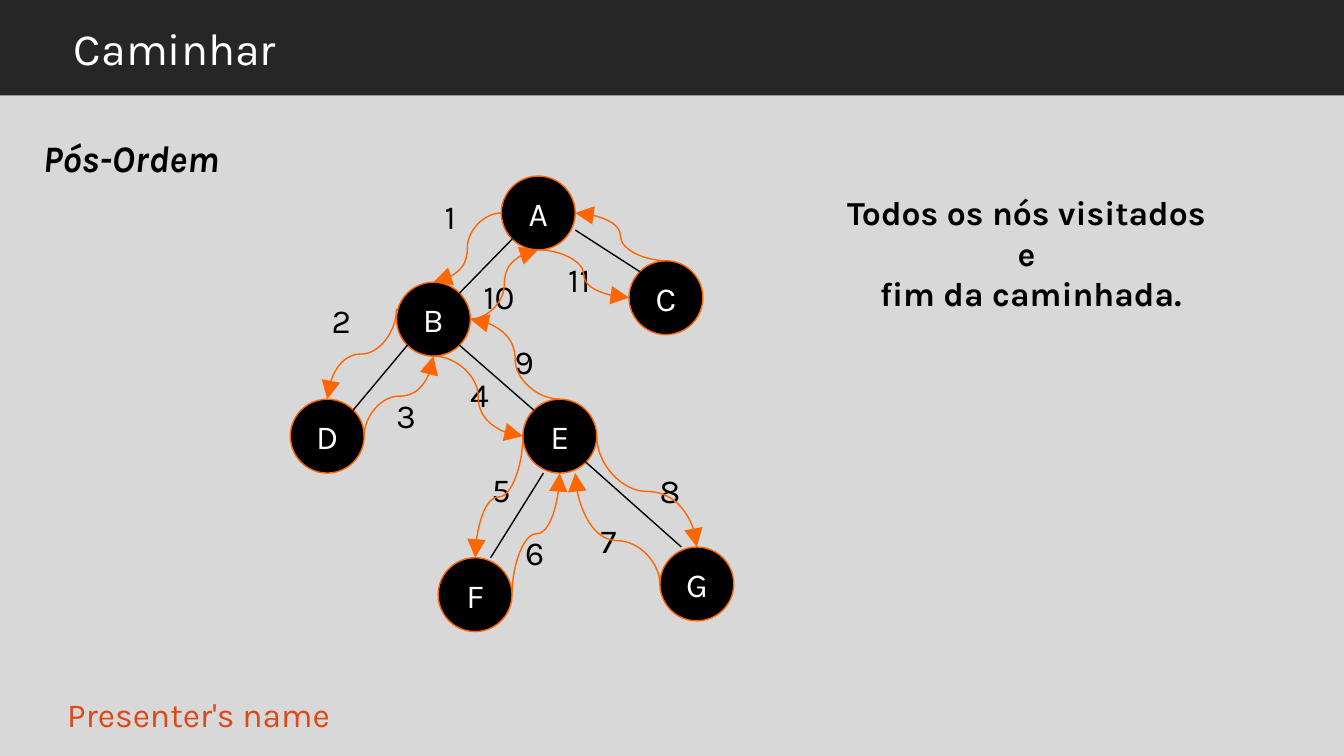
from dataclasses import dataclass

from lxml import etree
from pptx import Presentation
from pptx.dml.color import RGBColor
from pptx.enum import shapes, text
from pptx.oxml import ns
from pptx.util import Inches, Pt


@dataclass(frozen=True)
class Theme:
    """Colours, type sizes and line width of the slide."""
    background: str = "D8D8D8"
    band: str = "262626"
    ink: str = "000000"
    light: str = "FFFFFF"
    walk: str = "FF6600"
    footer: str = "DD4814"
    font: str = "Karla"
    title: int = 24
    subtitle: int = 20
    body: int = 18
    line: float = 0.75


THEME = Theme()
LEFT, CENTER = text.PP_ALIGN.LEFT, text.PP_ALIGN.CENTER
TOP, MIDDLE = text.MSO_ANCHOR.TOP, text.MSO_ANCHOR.MIDDLE
WIDTH = Inches(10)
HEIGHT = WIDTH * 9 // 16
DIAMETER = 0.55
LABEL_HEIGHT = 0.38

NODES = {"A": (1.57, 0), "B": (0.79, 0.79), "D": (0, 1.66), "C": (2.52, 0.63),
         "E": (1.73, 1.66), "F": (1.1, 2.84), "G": (2.75, 2.76)}
SITES = {"n": (0.5, 0), "e": (1, 0.5), "s": (0.5, 1), "w": (0, 0.5),
         "nw": (0.15, 0.15), "ne": (0.85, 0.15), "se": (0.85, 0.85), "sw": (0.15, 0.85),
         "top left": (0.29, 0), "top right": (0.71, 0), "bottom left": (0.28, 1),
         "bottom right": (0.71, 1), "upper left": (0, 0.36), "lower right": (1, 0.73)}
EDGES = [("A", "sw", "B", "ne"), ("B", "sw", "D", "ne"), ("A", "lower right", "C", "nw"),
         ("B", "se", "E", "nw"), ("E", "bottom left", "F", "top right"),
         ("E", "se", "G", "top left")]
STEPS = [("A", "w", "B", "n", False, 0.5), ("B", "upper left", "D", "n", True, 0.5),
         ("D", "e", "B", "s", True, 0.5), ("B", "s", "E", "w", False, 0.5),
         ("E", "w", "F", "n", True, 0.5), ("F", "e", "E", "s", True, 0.5),
         ("G", "w", "E", "bottom right", True, 0.39), ("E", "e", "G", "n", True, 0.5),
         ("E", "n", "B", "e", False, 0.5), ("B", "e", "A", "s", False, 0.5),
         ("A", "s", "C", "w", False, 0.5), ("C", "n", "A", "e", False, 0.5)]
LABELS = [(1.05, 0.1, 0.41), (0.21, 0.87, 0.34), (0.69, 1.58, 0.34), (1.24, 1.42, 0.34),
          (1.4, 2.13, 0.34), (1.65, 2.6, 0.34), (2.21, 2.51, 0.34), (2.65, 2.14, 0.34),
          (1.57, 1.18, 0.34), (1.34, 0.69, 0.59), (1.97, 0.57, 0.73)]


def set_all(target, values):
    """Set every attribute in values on target."""
    for name, value in values.items():
        setattr(target, name, value)


def write(shape, lines, color, size=THEME.body, align=LEFT, anchor=TOP,
          insets=(0.1, 0.05), **font):
    """Write one paragraph per line into the shape."""
    across, down = map(Inches, insets)
    frame = shape.text_frame
    frame.text = "\n".join(lines)
    set_all(frame, {"word_wrap": True, "auto_size": text.MSO_AUTO_SIZE.NONE,
                    "vertical_anchor": anchor, "margin_left": across,
                    "margin_right": across, "margin_top": down, "margin_bottom": down})
    for paragraph in frame.paragraphs:
        paragraph.alignment = align
        set_all(paragraph.font, {"name": THEME.font, "size": Pt(size), **font})
        paragraph.font.color.rgb = RGBColor.from_string(color)


def add_text(slide, box, lines, color, **format_values):
    """Add a text box that fills the given box."""
    shape = slide.shapes.add_textbox(*map(Inches, box))
    write(shape, lines, color, **format_values)


def add_filled(slide, kind, box, fill, line=None):
    """Add a flat preset shape, outlined if a line colour is given."""
    shape = slide.shapes.add_shape(kind, *map(Inches, box))
    shape.shadow.inherit = False
    shape.fill.solid()
    shape.fill.fore_color.rgb = RGBColor.from_string(fill)
    if line:
        shape.line.color.rgb = RGBColor.from_string(line)
        shape.line.width = Pt(THEME.line)
    else:
        shape.line.fill.background()
    return shape


def add_line(slide, kind, start, end, color):
    """Add a thin connector without a shadow."""
    connector = slide.shapes.add_connector(kind, *map(Inches, (*start, *end)))
    connector.line.color.rgb = RGBColor.from_string(color)
    connector.line.width = Pt(THEME.line)
    etree.SubElement(connector._element.spPr, ns.qn("a:effectLst"))
    return connector


def add_step(slide, start, end, vertical, bend):
    """Add a curved arrow, turned a quarter when it leaves vertically."""
    rotation = 0
    if vertical:
        x_middle, y_middle = ((a + b) / 2 for a, b in zip(start, end))
        dx, dy = end[0] - start[0], end[1] - start[1]
        rotation = 90 if dx < 0 else 270
        along = abs(dy) / 2 * (1 if (dx < 0) == (dy < 0) else -1)
        across = abs(dx) / 2
        start = (x_middle + along, y_middle - across)
        end = (x_middle - along, y_middle + across)
    connector = add_line(slide, shapes.MSO_CONNECTOR.CURVE, start, end, THEME.walk)
    properties = connector._element.spPr
    if rotation:
        properties.find(ns.qn("a:xfrm")).set("rot", str(rotation * 60000))
    adjustments = properties.find(ns.qn("a:prstGeom")).get_or_add_avLst()
    etree.SubElement(adjustments, ns.qn("a:gd"), name="adj1", fmla=f"val {round(bend * 100000)}")
    etree.SubElement(properties.find(ns.qn("a:ln")), ns.qn("a:tailEnd"),
                     type="triangle", w="lg", len="lg")


def add_header(slide, box, title):
    """Place the dark band and the slide title on it."""
    left, top, width, height = box
    band = add_filled(slide, shapes.MSO_SHAPE.RECTANGLE, box, THEME.band)
    slide.shapes._spTree.insert(2, band._element)
    placeholder = slide.shapes.title
    set_all(placeholder, {"left": Inches(left + 0.45), "top": Inches(top),
                          "width": Inches(width - 0.95), "height": Inches(height)})
    write(placeholder, [title], THEME.light, size=THEME.title, anchor=MIDDLE,
          insets=(0.1, 0.1))


def add_tree(slide, box):
    """Draw the binary tree and its numbered post-order walk."""
    left, top = box[:2]

    def site(node, name):
        """Return the point of a node at the named site."""
        return tuple(origin + offset + DIAMETER * part for origin, offset, part
                     in zip((left, top), NODES[node], SITES[name]))

    for name, (x, y) in NODES.items():
        node = add_filled(slide, shapes.MSO_SHAPE.OVAL,
                          (left + x, top + y, DIAMETER, DIAMETER), THEME.ink, THEME.walk)
        write(node, [name], THEME.light, align=CENTER, anchor=MIDDLE)
    for parent, out, child, into in EDGES:
        add_line(slide, shapes.MSO_CONNECTOR.STRAIGHT, site(parent, out),
                 site(child, into), THEME.ink)
    for number, (x, y, width) in enumerate(LABELS, 1):
        add_text(slide, (left + x, top + y, width, LABEL_HEIGHT), [str(number)], THEME.ink)
    for origin, out, target, into, vertical, bend in STEPS:
        add_step(slide, site(origin, out), site(target, into), vertical, bend)


def main():
    """Build and save the presentation."""
    presentation = Presentation()
    set_all(presentation, {"slide_width": WIDTH, "slide_height": HEIGHT})
    slide = presentation.slides.add_slide(presentation.slide_layouts[5])
    slide.background.fill.solid()
    slide.background.fill.fore_color.rgb = RGBColor.from_string(THEME.background)
    add_header(slide, (0, 0, 10, 0.71), "Caminhar")
    add_text(slide, (0.43, 5.06, 5.78, 0.37), ["Presenter's name"], THEME.footer,
             insets=(0.07, 0.1))
    add_text(slide, (0.22, 0.82, 3, 0.71), ["Pós-Ordem"], THEME.ink, size=THEME.subtitle,
             anchor=MIDDLE, insets=(0.1, 0.1), bold=True, italic=True)
    add_tree(slide, (2.16, 1.31, 3.3, 3.39))
    add_text(slide, (6.17, 1.39, 3, 0.98),
             ["Todos os nós visitados ", "e ", "fim da caminhada."], THEME.ink,
             align=CENTER, insets=(0.07, 0.04), bold=True)
    presentation.save("out.pptx")


if __name__ == "__main__":
    main()
